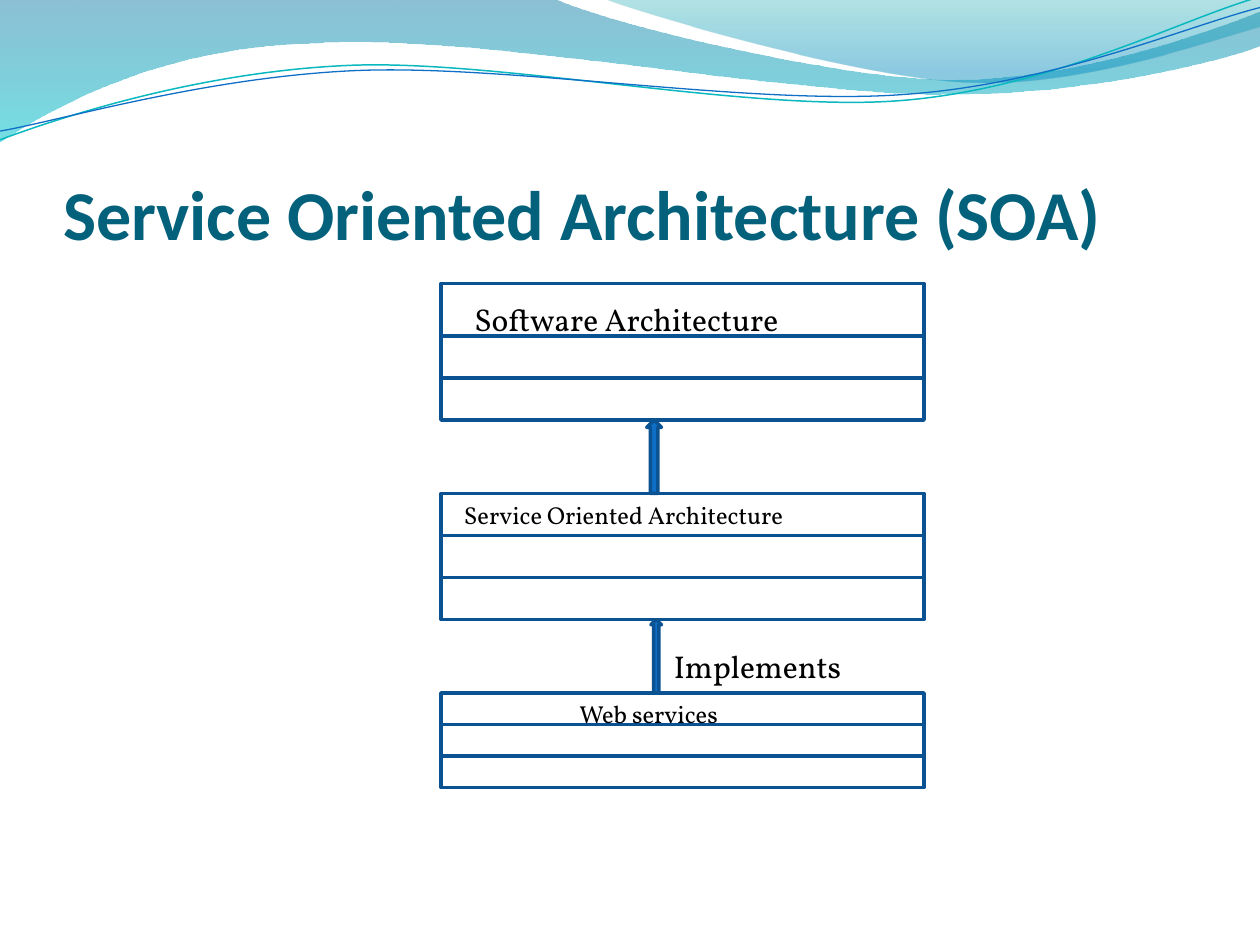
"""Build a slide on the layers of service oriented architecture."""
from lxml import etree
from pptx import Presentation
from pptx.dml.color import RGBColor
from pptx.enum import shapes, text
from pptx.oxml.ns import qn
from pptx import util as u

BLUE, EDGE = "0F6FC6", "0B5292"
BAND = [(0, 0), (316.8, -0.7), (342.7, 12.2, 478, 45.4, 545.8, 45.4),
        (614, 45.4, 690, 18.7, 720, 6.5), (720.7, 25.9),
        (707.8, 31.7, 626.4, 54.7, 537.1, 54),
        (447.8, 54, 275, 20.2, 185, 24.5),
        (92.9, 25.9, 33.1, 59.8, -0.7, 81.4), (0, 0)]
CREST = [(344.9, -0.7), (366.5, 7.9, 491, 44.6, 553.7, 46.8),
         (616.3, 49.7, 691.9, 23, 720, 15.1), (720, 0), (344.9, -0.7)]
TEAL = [(0, 79.9), (34.6, 67, 113.8, 41, 199.4, 37.4),
        (284.4, 33.8, 427, 64.1, 513.4, 57.6),
        (599.8, 51.1, 675.4, 10.8, 718.6, -1.4)]
NAVY = [(0, 74.9), (33.8, 69.1, 118.1, 43.9, 203.8, 40.3),
        (290.2, 36.7, 429.8, 60.5, 516.2, 54),
        (601.9, 48.2, 677.5, 15.1, 720, 4.3)]


def tint(color, code):
    """Set a colour from a hex string."""
    color.rgb = RGBColor.from_string(code)


def edge(shape, code, width):
    """Give a shape a solid outline."""
    tint(shape.line.color, code)
    shape.line.width = u.Pt(width)


def bend(shape, parts):
    """Join each three lines of a curved part into one cubic curve."""
    track = next(shape._element.spPr.iter(qn("a:path")))
    lines = iter(track.findall(qn("a:lnTo")))
    for part in parts[1:]:
        group = [next(lines) for _ in range(len(part) // 2)]
        if len(group) == 3:
            cubic = etree.Element(qn("a:cubicBezTo"))
            group[0].addprevious(cubic)
            for line in group:
                cubic.append(line[0])
                track.remove(line)


def curve(slide, parts, close):
    """Draw a freeform of lines and cubic curves."""
    dots = [(u.Pt(p[n]), u.Pt(p[n + 1]))
            for p in parts for n in range(0, len(p), 2)]
    pen = slide.shapes.build_freeform(*dots[0])
    pen.add_line_segments(dots[1:], close=close)
    shape = pen.convert_to_shape()
    bend(shape, parts)
    shape.shadow.inherit = False
    return shape


def wave(slide, parts, stops):
    """Draw a wave filled with a see-through downward gradient."""
    shape = curve(slide, parts, True)
    shape.line.fill.background()
    shape.fill.gradient()
    shape.fill.gradient_angle = 270
    for stop, (place, code, alpha) in zip(shape.fill.gradient_stops, stops):
        stop.position = place
        tint(stop.color, code)
    tones = shape._element.spPr.iter(qn("a:srgbClr"))
    for tone, (place, code, alpha) in zip(tones, stops):
        etree.SubElement(tone, qn("a:alpha"), val=str(alpha * 1000))


def strand(slide, parts, code, width):
    """Draw a thin open curve."""
    shape = curve(slide, parts, False)
    shape.fill.background()
    edge(shape, code, width)


def block(slide, kind, left, top, width, height, fill=None):
    """Draw an outlined preset shape."""
    shape = slide.shapes.add_shape(kind, *map(u.Pt, (left, top, width, height)))
    shape.shadow.inherit = False
    if fill:
        shape.fill.solid()
        tint(shape.fill.fore_color, fill)
    else:
        shape.fill.background()
    edge(shape, EDGE, 2)


def stack(slide, top, rows):
    """Draw a box of rows, one below the other."""
    for high in rows:
        block(slide, shapes.MSO_SHAPE.FLOWCHART_PROCESS, 252, top, 276, high)
        top += high


def font(frame, name, size, code, bold=False):
    """Format every run in a text frame."""
    for para in frame.paragraphs:
        for run in para.runs:
            run.font.name, run.font.size = name, u.Pt(size)
            run.font.bold = bold
            tint(run.font.color, code)


def label(slide, words, left, top, width, height, size):
    """Add a text box."""
    box = slide.shapes.add_textbox(*map(u.Pt, (left, top, width, height)))
    frame = box.text_frame
    frame.word_wrap = True
    frame.text = words
    font(frame, "Vollkorn", size, "000000")


def head(slide, words):
    """Fill and place the title."""
    title = slide.shapes.title
    title.left, title.top, title.width, title.height = map(
        u.Pt, (36, 55.5, 648, 90))
    frame = title.text_frame
    frame.text = words
    frame.word_wrap = True
    frame.auto_size = text.MSO_AUTO_SIZE.NONE
    frame.vertical_anchor = text.MSO_ANCHOR.BOTTOM
    frame.margin_left = frame.margin_right = frame.margin_bottom = u.Pt(0)
    frame.margin_top = u.Pt(3.6)
    frame.paragraphs[0].alignment = text.PP_ALIGN.LEFT
    font(frame, "Calibri", 40, "04617B", True)


def main():
    """Build and save the slide."""
    deck = Presentation()
    deck.slide_width, deck.slide_height = u.Pt(720), u.Pt(540)
    slide = deck.slides.add_slide(deck.slide_layouts[5])
    wave(slide, BAND, [(0, "0074A1", 45), (1, "00C6CF", 55)])
    wave(slide, CREST, [(0, "00A1A9", 30), (0.8, "008BBF", 45)])
    strand(slide, TEAL, "0AB8BF", 0.85)
    strand(slide, NAVY, BLUE, 0.75)
    head(slide, "Service Oriented Architecture (SOA)")
    stack(slide, 162, (30, 24, 24))
    label(slide, "Software Architecture", 264, 168, 258, 29, 18)
    stack(slide, 282, (24, 24, 24))
    block(slide, shapes.MSO_SHAPE.UP_ARROW, 369.6, 240, 8.4, 42, BLUE)
    label(slide, "Service Oriented Architecture", 258, 282, 258, 24.2, 14)
    stack(slide, 396, (18, 18, 18))
    label(slide, "Web services", 324, 396, 192, 24.2, 14)
    block(slide, shapes.MSO_SHAPE.UP_ARROW, 372, 354, 6, 42, BLUE)
    label(slide, "Implements", 378, 366, 150, 29, 18)
    deck.save("out.pptx")


if __name__ == "__main__":
    main()
